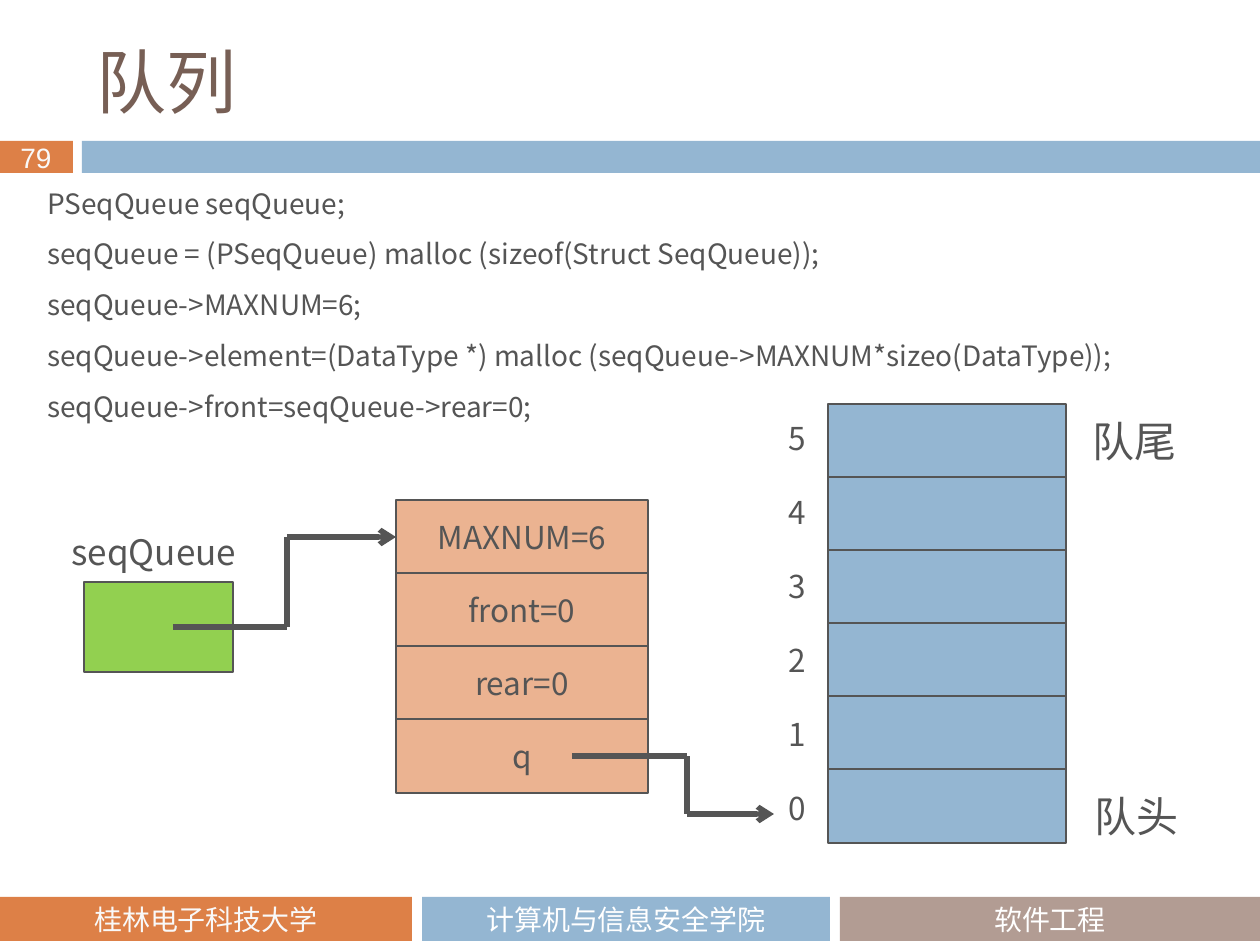
from lxml.etree import SubElement
from pptx import Presentation
from pptx.dml.color import RGBColor
from pptx.enum.shapes import MSO_CONNECTOR as LINK, MSO_SHAPE as SHAPE
from pptx.enum.text import MSO_ANCHOR as ANCHOR, PP_ALIGN as ALIGN
from pptx.oxml.ns import qn
from pptx.util import Emu, Pt

PX = 914400 / 126
COLORS = {"ink": "555555", "title": "775F55", "orange": "DD8047",
          "blue": "94B6D2", "taupe": "B29C93", "peach": "EBB391",
          "green": "92D050", "white": "FFFFFF", "pale": "F9F9F9"}
SANS = "Noto Sans CJK SC"


def rect(left, top, width, height, fill, outlined=False):
    shape = page.shapes.add_shape(SHAPE.RECTANGLE, *px(left, top, width, height))
    shape.shadow.inherit = False
    shape.fill.solid()
    shape.fill.fore_color.rgb = RGBColor.from_string(COLORS[fill])
    if outlined:
        shape.line.color.rgb = RGBColor.from_string(COLORS["ink"])
        shape.line.width = Pt(0.75)
    else:
        shape.line.fill.background()
    return shape


def write(box, text, size, color="ink", font=SANS, east=SANS, align=ALIGN.LEFT,
          anchor=ANCHOR.TOP, spacing=None, wrap=True):
    frame = box.text_frame
    frame.text = text
    frame.word_wrap = wrap
    frame.vertical_anchor = anchor
    for index, para in enumerate(frame.paragraphs):
        para.alignment = align
        if spacing:
            para.line_spacing = Pt(spacing)
            para.space_before = Pt(7 if index else 0)
        for span in para.runs:
            span.font.size = Pt(size)
            span.font.name = font
            span.font.color.rgb = RGBColor.from_string(COLORS[color])
            SubElement(span.font._element if hasattr(span.font, "_element")
                       else span._r.get_or_add_rPr(), qn("a:ea"), typeface=east)


px = lambda *lengths: [Emu(round(length * PX)) for length in lengths]

deck = Presentation()
deck.slide_width, deck.slide_height = px(1260, 945)
page = deck.slides.add_slide(deck.slide_layouts[5])

# Header bar and page number
rect(0, 141, 73, 32, "orange")
rect(82, 141, 1178, 32, "blue")
number = page.shapes.add_textbox(*px(8, 134, 60, 47))
write(number, "79", 16, "pale", font="Arial", wrap=False)

# Footer
for left, width, fill, color, text in [
        (0, 412, "orange", "pale", "桂林电子科技大学"),
        (422, 408, "blue", "white", "计算机与信息安全学院"),
        (840, 420, "taupe", "white", "软件工程")]:
    footer = rect(left, 897, width, 44, fill)
    write(footer, text, 16, color, font="Calibri", align=ALIGN.CENTER,
          anchor=ANCHOR.MIDDLE)

# Title
title = page.shapes.title
title.left, title.top, title.width, title.height = px(84, 32, 1124, 98)
write(title, "队列", 40, "title", font="Noto Sans CJK JP",
      east="Noto Sans CJK JP", anchor=ANCHOR.MIDDLE)

# Code
code = page.shapes.add_textbox(*px(35, 175, 1124, 260))
write(code, "\n".join([
    "PSeqQueue seqQueue;",
    "seqQueue = (PSeqQueue) malloc (sizeof(Struct SeqQueue));",
    "seqQueue->MAXNUM=6;",
    "seqQueue->element=(DataType *) malloc (seqQueue->MAXNUM*sizeo(DataType));",
    "seqQueue->front=seqQueue->rear=0;"]), 16, spacing=22)

# Pointer variable
rect(84, 582, 149, 90, "green", outlined=True)

# Queue record
fields = []
for row, text in enumerate(["MAXNUM=6", "front=0", "rear=0", "q"]):
    field = rect(396, 500 + 73 * row, 252, 74, "peach", outlined=True)
    write(field, text, 18, align=ALIGN.CENTER, anchor=ANCHOR.MIDDLE)
    fields.append(field)

# Element array with its indexes
for row in range(6):
    rect(828, 404 + 73 * row, 238, 74, "blue", outlined=True)
    index_box = page.shapes.add_textbox(*px(776, 413 + 74 * row, 45, 50))
    write(index_box, str(5 - row), 18, wrap=False)

# Labels
for left, top, width, size, text in [(59, 514, 198, 20, "seqQueue"),
                                     (1080, 407, 156, 24, "队尾"),
                                     (1082, 782, 156, 24, "队头")]:
    label = page.shapes.add_textbox(*px(left, top, width, 66))
    write(label, text, size, spacing=30)

# Stepped arrows, each made of three straight pieces
for points, target in [
        ([(173, 627), (287, 627), (287, 537), (396, 537)], fields[0]),
        ([(572, 756), (687, 756), (687, 814), (774, 814)], None)]:
    for step, (start, end) in enumerate(zip(points, points[1:])):
        piece = page.shapes.add_connector(LINK.STRAIGHT, *px(*start, *end))
        piece.line.width = Pt(3)
        piece.line.color.rgb = RGBColor.from_string(COLORS["ink"])
        if step == 2:
            SubElement(piece.line._get_or_add_ln(), qn("a:tailEnd"), type="arrow")
            if target:
                piece.end_connect(target, 1)
        SubElement(piece._element.spPr, qn("a:effectLst"))

deck.save("out.pptx")
